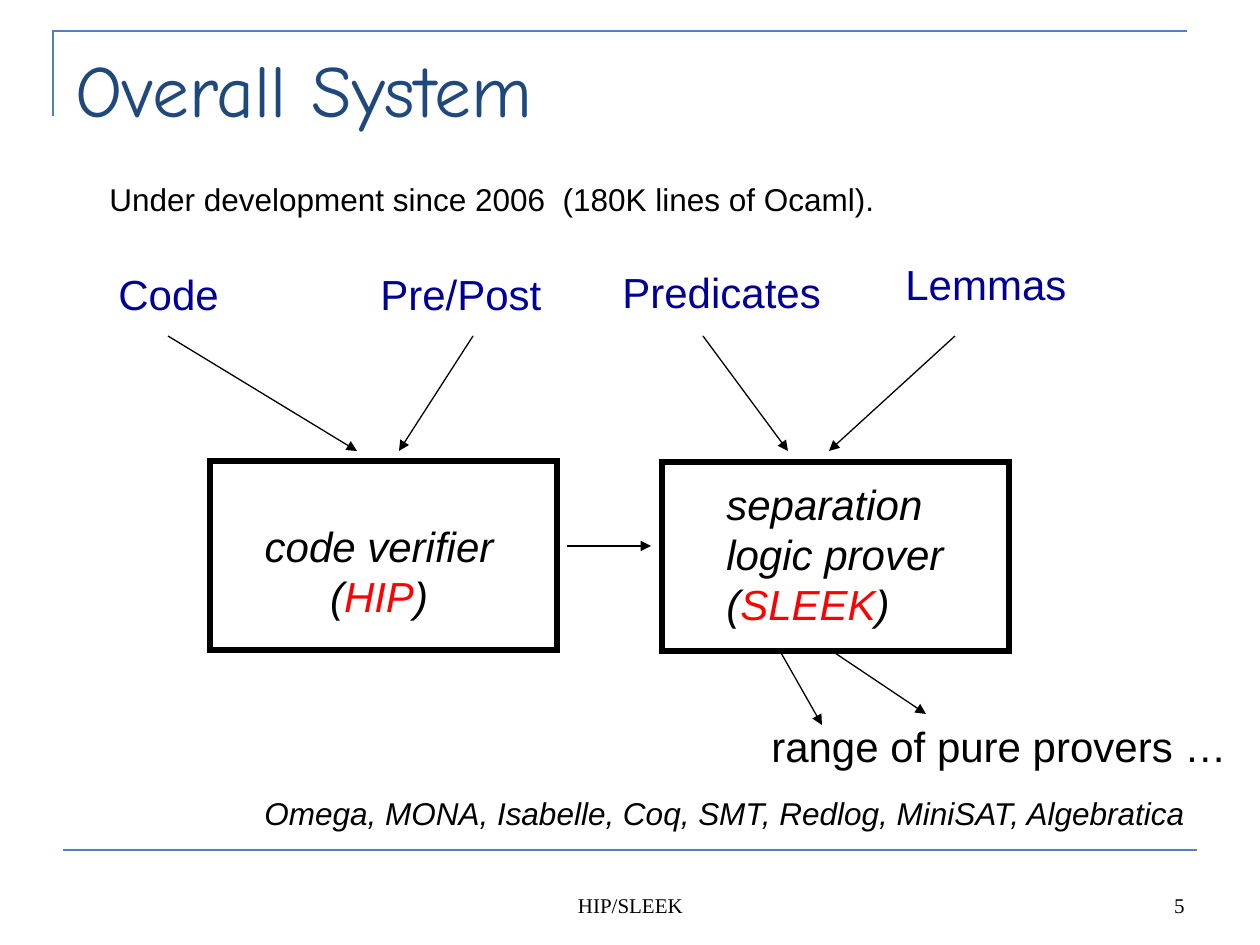
from pptx import Presentation
from pptx import util as u
from pptx.dml.color import RGBColor
from pptx.enum import shapes, text
from pptx.oxml import parse_xml
from pptx.oxml.ns import nsdecls

SCALE = 914400 / 126
HUES = {"ink": "000000", "rule": "4F81BD", "title": "1F497D",
        "input": "000099", "tool": "FF0000"}
LEFT, MID, RIGHT = text.PP_ALIGN.LEFT, text.PP_ALIGN.CENTER, text.PP_ALIGN.RIGHT


def px(*sizes):
    """Turn pixels into EMU."""
    return [u.Emu(round(size * SCALE)) for size in sizes]


def paint(line, hue, width):
    """Set the colour, width and sharp corners of a line."""
    line.color.rgb = RGBColor.from_string(HUES[hue])
    line.width = u.Pt(width)
    line._get_or_add_ln().append(
        parse_xml(f'<a:miter {nsdecls("a")} lim="800000"/>'))


def write(frame, rows, size, hue="ink", face="Arial", slant=False, align=LEFT):
    """Fill a frame with rows of (words, hue) runs or plain strings."""
    for i, row in enumerate(rows):
        para = frame.paragraphs[0] if i == 0 else frame.add_paragraph()
        para.alignment = align
        for words, tint in [(row, hue)] if isinstance(row, str) else row:
            run = para.add_run()
            run.text = words
            font = run.font
            font.name, font.size, font.italic = face, u.Pt(size), slant
            font.color.rgb = RGBColor.from_string(HUES[tint])


def label(slide, box, rows, size, low=False, **style):
    """Add a text box."""
    frame = slide.shapes.add_textbox(*px(*box)).text_frame
    frame.word_wrap = True
    if low:
        frame.vertical_anchor = text.MSO_ANCHOR.BOTTOM
    else:
        frame.auto_size = text.MSO_AUTO_SIZE.SHAPE_TO_FIT_TEXT
    write(frame, rows, size, **style)


def link(slide, ends, hue="ink", width=0.75, head=True):
    """Add a straight line, with an arrowhead if asked."""
    line = slide.shapes.add_connector(shapes.MSO_CONNECTOR.STRAIGHT, *px(*ends))
    paint(line.line, hue, width)
    if head:
        line.line._get_or_add_ln().append(
            parse_xml(f'<a:tailEnd {nsdecls("a")} type="triangle"/>'))
    line._element.spPr.append(parse_xml(f'<a:effectLst {nsdecls("a")}/>'))


def block(slide, box):
    """Add an outlined box for a tool."""
    rect = slide.shapes.add_shape(shapes.MSO_SHAPE.RECTANGLE, *px(*box))
    rect.shadow.inherit = False
    rect.fill.background()
    paint(rect.line, "ink", 3)


def frame_title(slide):
    """Add the corner line, the bottom rule and the title."""
    build = slide.shapes.build_freeform(53, 116, scale=SCALE)
    build.add_line_segments([(53, 31), (1187, 31)], close=False)
    corner = build.convert_to_shape()
    corner.shadow.inherit = False
    corner.fill.background()
    paint(corner.line, "rule", 1.5)
    link(slide, (63, 850, 1197, 850), "rule", 1.5, head=False)
    title = slide.shapes.title
    title.left, title.top, title.width, title.height = px(63, 38, 1134, 157)
    title.text_frame.vertical_anchor = text.MSO_ANCHOR.TOP
    write(title.text_frame, ["Overall System"], 42, "title", "Comic Neue")


def main():
    """Build the slide."""
    deck = Presentation()
    deck.slide_width, deck.slide_height = px(1260, 945)
    slide = deck.slides.add_slide(deck.slide_layouts[5])
    frame_title(slide)
    label(slide, (97, 174, 800, 50),
          ["Under development since 2006  (180K lines of Ocaml)."], 18)

    for words, left, top, width in [("Code", 106, 262, 135),
                                    ("Pre/Post", 368, 262, 196),
                                    ("Predicates", 610, 260, 233),
                                    ("Lemmas", 893, 252, 196)]:
        label(slide, (left, top, width, 63), [words], 24, hue="input")

    block(slide, (210, 461, 347, 189))
    block(slide, (662, 462, 347, 189))
    label(slide, (244, 514, 270, 113),
          ["code verifier", [("(", "ink"), ("HIP", "tool"), (")", "ink")]],
          24, slant=True, align=MID)
    label(slide, (714, 472, 252, 164),
          ["separation", "logic prover",
           [("(", "ink"), ("SLEEK", "tool"), (")", "ink")]],
          24, slant=True)

    for start, end in [(168, 357), (473, 399), (703, 788), (955, 829)]:
        link(slide, (start, 336, end, 451))
    for ends in [(567, 546, 651, 546), (780, 651, 822, 725),
                 (832, 651, 926, 714)]:
        link(slide, ends)

    label(slide, (759, 714, 490, 63), ["range of pure provers …"], 24)
    label(slide, (252, 788, 988, 50),
          ["Omega, MONA, Isabelle, Coq, SMT, Redlog, MiniSAT, Algebratica"],
          18, slant=True)
    for words, left, width, align in [("HIP/SLEEK", 431, 399, MID),
                                      ("5", 903, 294, RIGHT)]:
        label(slide, (left, 861, width, 63), [words], 12, low=True,
              face="Times New Roman", align=align)
    deck.save("out.pptx")


if __name__ == "__main__":
    main()
